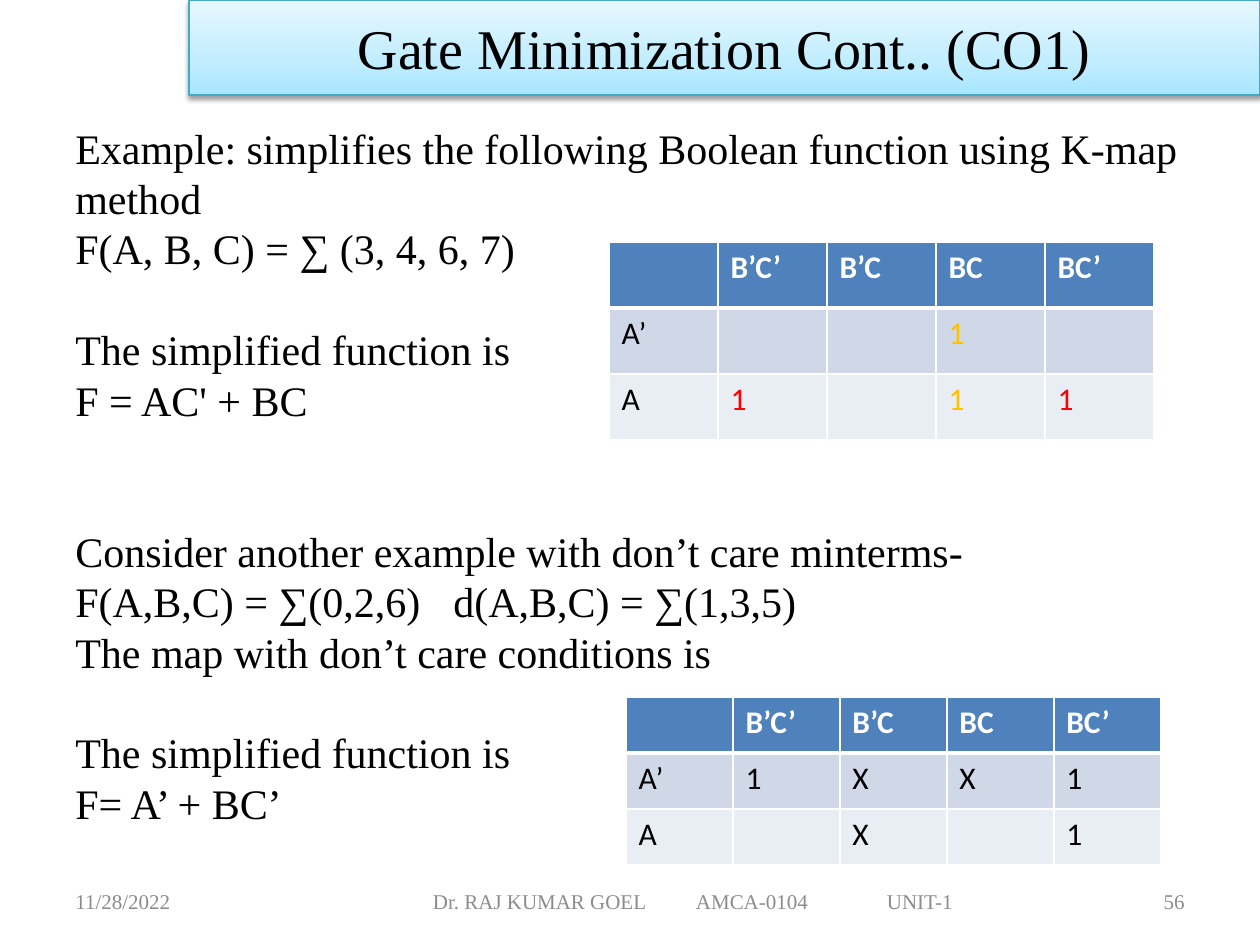
from dataclasses import dataclass

from lxml.etree import SubElement
from pptx import Presentation
from pptx.dml.color import RGBColor
from pptx.enum.shapes import MSO_SHAPE
from pptx.enum.text import MSO_ANCHOR, PP_ALIGN
from pptx.oxml import parse_xml
from pptx.oxml.ns import nsdecls, qn
from pptx.util import Emu, Pt

PIXELS_PER_INCH = 126


def px(length):
    return Emu(round(length * 914400 / PIXELS_PER_INCH))


@dataclass(frozen=True)
class Theme:
    serif: str = "Times New Roman"
    sans: str = "Calibri"
    title_size: int = 32
    body_size: int = 24
    table_size: int = 18
    footer_size: int = 12
    body_line: float = 28.8
    black: str = "000000"
    white: str = "FFFFFF"
    grey: str = "8C8C8C"
    red: str = "FF0000"
    gold: str = "FFC000"
    title_line: str = "46AAC5"
    title_stops: tuple = ((0, "A7E6FF"), (35, "C1EDFF"), (100, "E7F8FF"))
    table_rows: tuple = ("4F81BD", "D0D8E8", "E9EDF4")


class SlideBuilder:
    def __init__(self, slide, theme):
        self.slide = slide
        self.theme = theme

    def set_font(self, paragraph, name, size, color, bold=False):
        font = paragraph.font
        font.name, font.size, font.bold = name, Pt(size), bold
        font.color.rgb = RGBColor.from_string(color)

    def text_box(self, left, top, width, height, anchor):
        frame = self.slide.shapes.add_textbox(*map(px, (left, top, width, height))).text_frame
        frame.word_wrap = True
        frame.vertical_anchor = anchor
        return frame

    def title(self, text, left, top, width, height):
        theme = self.theme
        shape = self.slide.shapes.add_shape(
            MSO_SHAPE.RECTANGLE, *map(px, (left, top, width, height)))
        shape.line.color.rgb = RGBColor.from_string(theme.title_line)
        shape.line.width = Pt(0.75)
        stops = "".join(
            f'<a:gs pos="{position * 1000}"><a:srgbClr val="{color}"/></a:gs>'
            for position, color in theme.title_stops)
        properties = shape.element.spPr
        properties.find(qn("a:prstGeom")).addnext(parse_xml(
            f'<a:gradFill {nsdecls("a")}><a:gsLst>{stops}</a:gsLst>'
            '<a:lin ang="16200000" scaled="0"/></a:gradFill>'))
        properties.append(parse_xml(
            f'<a:effectLst {nsdecls("a")}><a:outerShdw blurRad="{Pt(3.1)}" dist="{Pt(1.6)}" '
            f'dir="5400000" rotWithShape="0"><a:srgbClr val="{theme.black}">'
            '<a:alpha val="38000"/></a:srgbClr></a:outerShdw></a:effectLst>'))
        shape.text_frame.vertical_anchor = MSO_ANCHOR.MIDDLE
        paragraph = shape.text_frame.paragraphs[0]
        paragraph.text = text
        paragraph.alignment = PP_ALIGN.CENTER
        self.set_font(paragraph, theme.serif, theme.title_size, theme.black)

    def body(self, lines, left, top, width, height):
        theme = self.theme
        frame = self.text_box(left, top, width, height, MSO_ANCHOR.TOP)
        for index, (text, skipped_lines) in enumerate(lines):
            paragraph = frame.add_paragraph() if index else frame.paragraphs[0]
            paragraph.text = text
            paragraph.line_spacing = Pt(theme.body_line)
            paragraph.space_before = Pt(theme.body_line * skipped_lines)
            self.set_font(paragraph, theme.serif, theme.body_size, theme.black)

    def footer(self, text, left, width, alignment=PP_ALIGN.LEFT, inset=None, tabs=()):
        theme = self.theme
        frame = self.text_box(left, 876, width, 50, MSO_ANCHOR.MIDDLE)
        if inset is not None:
            frame.margin_left = px(inset)
        paragraph = frame.paragraphs[0]
        paragraph.text = text
        paragraph.alignment = alignment
        if tabs:
            tab_list = SubElement(paragraph._p.get_or_add_pPr(), qn("a:tabLst"))
            for position in tabs:
                SubElement(tab_list, qn("a:tab"), pos=str(px(position)), algn="l")
        self.set_font(paragraph, theme.serif, theme.footer_size, theme.grey)

    def cell_borders(self, cell, bottom_width):
        properties = cell._tc.get_or_add_tcPr()
        widths = {"lnL": 1, "lnR": 1, "lnT": 1, "lnB": bottom_width}
        for index, (side, width) in enumerate(widths.items()):
            properties.insert(index, parse_xml(
                f'<a:{side} {nsdecls("a")} w="{Pt(width)}"><a:solidFill>'
                f'<a:srgbClr val="{self.theme.white}"/></a:solidFill></a:{side}>'))

    def karnaugh_map(self, rows, left, top, column_width, row_height, marks=None):
        theme = self.theme
        marks = marks or {}
        columns = len(rows[0])
        table = self.slide.shapes.add_table(
            len(rows), columns, px(left), px(top),
            px(column_width * columns), px(row_height * len(rows))).table
        table.horz_banding = False
        for row_index, row in enumerate(rows):
            header = row_index == 0
            for column_index, text in enumerate(row):
                cell = table.cell(row_index, column_index)
                cell.fill.solid()
                cell.fill.fore_color.rgb = RGBColor.from_string(theme.table_rows[row_index])
                self.cell_borders(cell, 3 if header else 1)
                paragraph = cell.text_frame.paragraphs[0]
                paragraph.text = text
                color = theme.white if header else marks.get(
                    (row_index, column_index), theme.black)
                self.set_font(paragraph, theme.sans, theme.table_size, color, header)


def main():
    presentation = Presentation()
    presentation.slide_width, presentation.slide_height = px(1260), px(945)
    theme = Theme()
    builder = SlideBuilder(
        presentation.slides.add_slide(presentation.slide_layouts[6]), theme)

    builder.footer("11/28/2022", 63, 294)
    builder.footer("Dr. RAJ KUMAR GOEL\tAMCA-0104\tUNIT-1", 346, 693,
                   inset=87, tabs=(263, 454))
    builder.footer("56", 903, 294, PP_ALIGN.RIGHT)
    builder.title("Gate Minimization Cont.. (CO1)", 189, 0, 1071, 95)
    builder.body([
        ("Example: simplifies the following Boolean function using K-map method", 0),
        ("F(A, B, C) = ∑ (3, 4, 6, 7)", 0),
        ("The simplified function is", 1),
        ("F = AC' + BC", 0),
        ("Consider another example with don’t care minterms-", 2),
        ("F(A,B,C) = ∑(0,2,6)\td(A,B,C) = ∑(1,3,5)", 0),
        ("The map with don’t care conditions is", 0),
        ("The simplified function is", 1),
        ("F= A’ + BC’", 0),
    ], 63, 116, 1144, 776)

    header = ("", "B’C’", "B’C", "BC", "BC’")
    builder.karnaugh_map(
        (header, ("A’", "", "", "1", ""), ("A", "1", "", "1", "1")),
        609, 242, 109, 66,
        {(1, 3): theme.gold, (2, 3): theme.gold, (2, 1): theme.red, (2, 4): theme.red})
    builder.karnaugh_map(
        (header, ("A’", "1", "X", "X", "1"), ("A", "", "X", "", "1")),
        626, 697, 107, 56)
    presentation.save("out.pptx")


if __name__ == "__main__":
    main()
